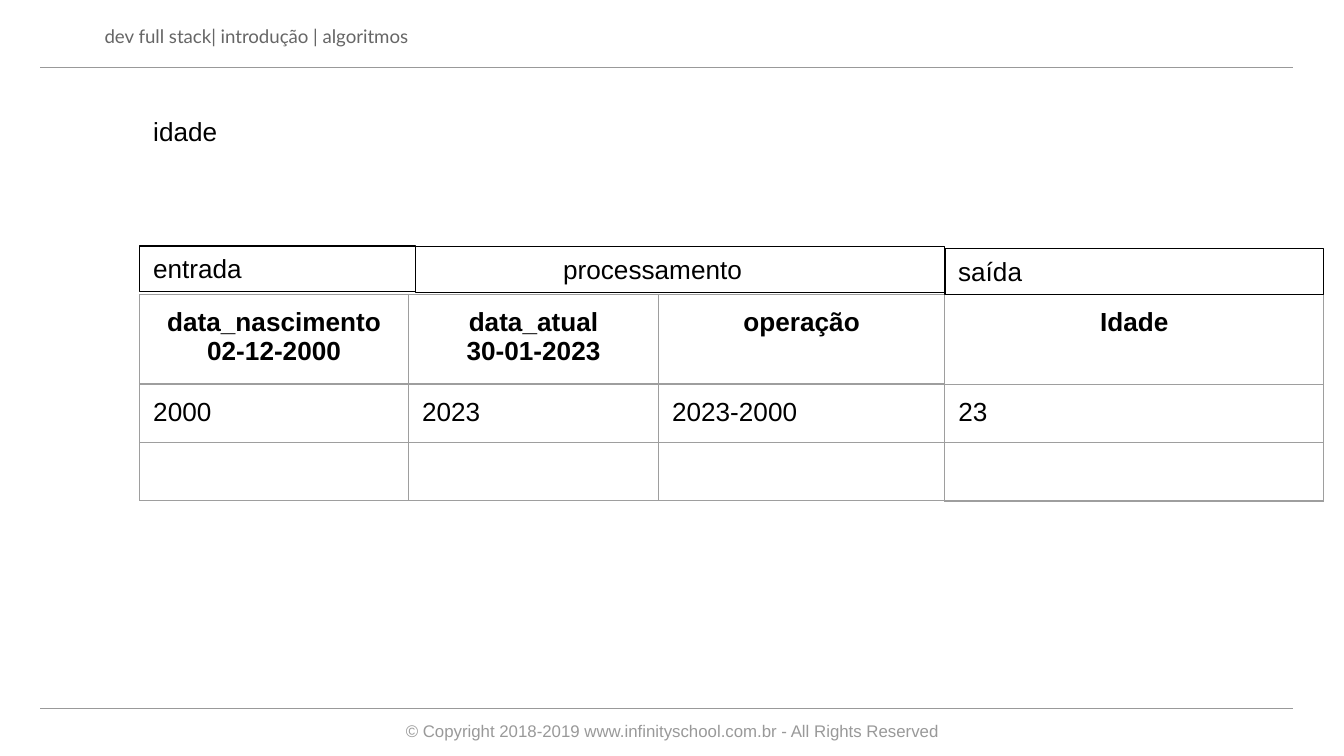
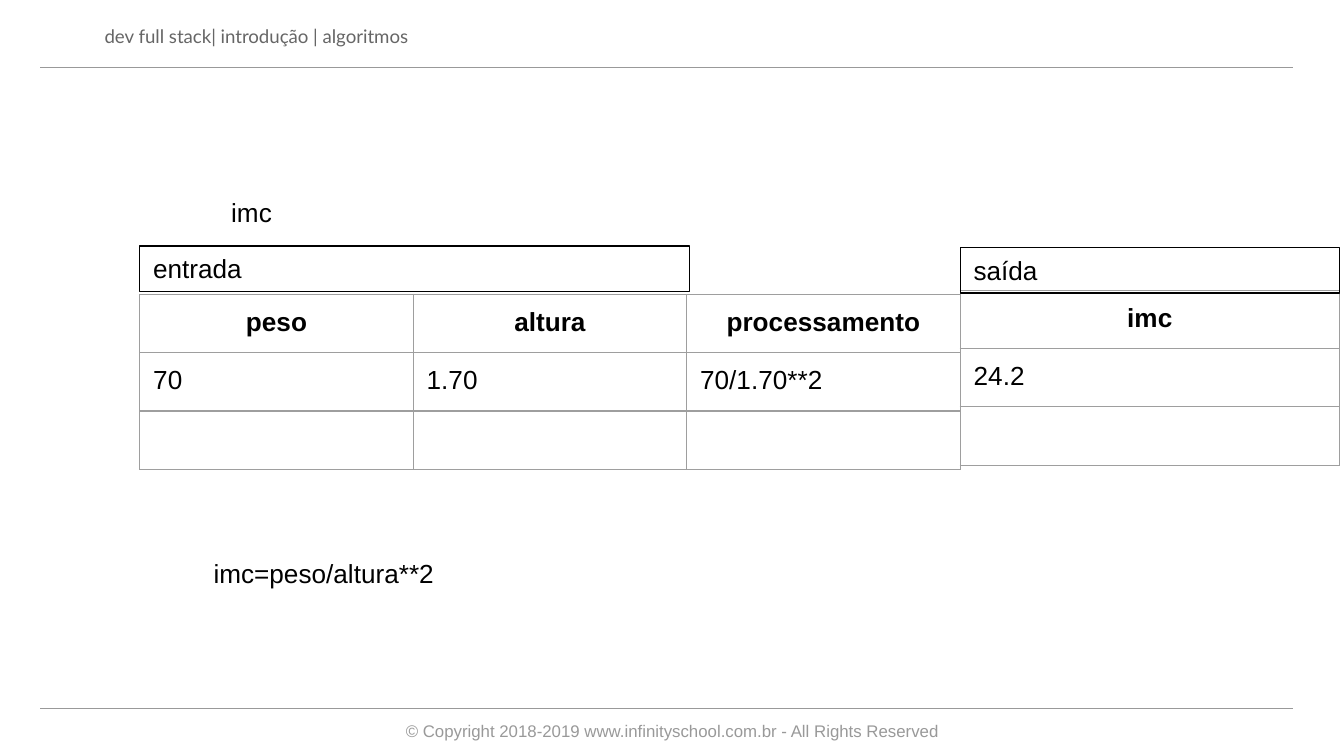
from lxml.etree import SubElement
from pptx import Presentation
from pptx.dml.color import RGBColor
from pptx.enum.shapes import MSO_CONNECTOR, MSO_SHAPE
from pptx.enum.text import MSO_ANCHOR, PP_ALIGN
from pptx.oxml.ns import qn
from pptx.util import Inches, Pt

HEX = {"ink": "000000", "head": "666666", "rule": "999999", "grid": "9E9E9E"}
BODY, HEAD = "Arial", "Lato"
UNIT = 0.1  # one grid column or row, in inches
WIDE, TALL = 100, 56.25
LEFT, OUT = 10.4, 28.2  # left edge of the tables, width of the output table
BAND = 3.4  # height of a one-line box
LINE = 0.75


def grid(*cells):
    return [Inches(cell * UNIT) for cell in cells]


def tint(name):
    return RGBColor.from_string(HEX[name])


class Deck:
    def __init__(self):
        self.show = Presentation()
        self.show.slide_width, self.show.slide_height = grid(WIDE, TALL)
        self.slide = None

    def page(self, title, x, y):
        """Start a slide with the shared frame and its title at x, y."""
        self.slide = self.show.slides.add_slide(self.show.slide_layouts[5])
        for row in (5, 52.7):
            self.rule(3, 96.2, row)
        self.text("dev full stack| introdução | algoritmos", 6.8, 1, 88.9,
                  size=10, font=HEAD, color="head", anchor=MSO_ANCHOR.MIDDLE)
        self.text("© Copyright 2018-2019 www.infinityschool.com.br"
                  " - All Rights Reserved", 3.4, 52.7, 93.2, size=9,
                  color="rule", align=PP_ALIGN.CENTER, anchor=MSO_ANCHOR.MIDDLE)
        head = self.slide.shapes.title
        head.left, head.top, head.width, head.height = grid(x, y, 25.8, BAND)
        self.label(head.text_frame, title)

    def label(self, frame, text, size=14, font=BODY, color="ink", bold=False,
              align=PP_ALIGN.LEFT, anchor=MSO_ANCHOR.TOP):
        frame.text = text
        frame.word_wrap = True
        frame.vertical_anchor = anchor
        for para in frame.paragraphs:
            para.alignment = align
            for run in para.runs:
                run.font.size, run.font.name = Pt(size), font
                run.font.bold = bold
                run.font.color.rgb = tint(color)

    def rule(self, start, end, row):
        line = self.slide.shapes.add_connector(
            MSO_CONNECTOR.STRAIGHT, *grid(start, row, end, row))
        line.line.color.rgb = tint("rule")
        line.line.width = Pt(LINE)
        SubElement(line.element.spPr, qn("a:effectLst"))

    def text(self, text, x, y, w, **style):
        box = self.slide.shapes.add_textbox(*grid(x, y, w, BAND))
        self.label(box.text_frame, text, **style)

    def box(self, text, x, y, w, inset=1):
        box = self.slide.shapes.add_shape(
            MSO_SHAPE.RECTANGLE, *grid(x, y, w, BAND))
        box.shadow.inherit = False
        box.fill.background()
        box.line.color.rgb = tint("ink")
        box.line.width = Pt(LINE)
        self.label(box.text_frame, text)
        box.text_frame.margin_left = grid(inset)[0]

    def table(self, rows, x, y, cols, highs):
        """Draw a ruled table whose first row is a bold, centred heading."""
        table = self.slide.shapes.add_table(
            len(rows), len(cols), *grid(x, y, sum(cols), sum(highs))).table
        table.first_row = table.horz_banding = False
        for col, width in zip(table.columns, grid(*cols)):
            col.width = width
        for row, high in zip(table.rows, grid(*highs)):
            row.height = high
        for r, row in enumerate(rows):
            for c, text in enumerate(row):
                self.cell(table.cell(r, c), text, r == 0)

    def cell(self, cell, text, head):
        align = PP_ALIGN.CENTER if head else PP_ALIGN.LEFT
        self.label(cell.text_frame, text, bold=head, align=align)
        if not text:
            last = cell.text_frame.paragraphs[0]._p
            SubElement(last, qn("a:endParaRPr"), sz="1400")
        cell.margin_left = cell.margin_right = grid(1)[0]
        cell.margin_top = cell.margin_bottom = grid(1)[0]
        props = cell._tc.get_or_add_tcPr()
        for side in "LRTB":
            edge = SubElement(props, qn(f"a:ln{side}"), w=str(Pt(LINE)))
            fill = SubElement(edge, qn("a:solidFill"))
            SubElement(fill, qn("a:srgbClr"), val=HEX["grid"])
        cell.fill.background()


def age(deck):
    deck.page("idade", LEFT, 8.1)
    cols = [20, 18.6, 21.3]
    out = LEFT + sum(cols)
    deck.table([["data_nascimento\n02-12-2000", "data_atual\n30-01-2023",
                 "operação"],
                ["2000", "2023", "2023-2000"],
                [""] * 3], LEFT, 21.9, cols, [6.4, 4.2, 4.2])
    deck.table([["Idade"], ["23"], [""]], out, 21.9, [OUT], [6.7, 4.3, 4.3])
    step = LEFT + 20.5
    deck.box("entrada", LEFT, 18.3, step - LEFT)
    deck.box("saída", out, 18.5, OUT)
    deck.box("processamento", step, 18.35, out - step, inset=11)


def mass(deck):
    deck.page("imc", 16.2, 14.1)
    cols = [20.35] * 3
    out = LEFT + sum(cols)
    deck.table([["peso", "altura", "processamento"],
                ["70", "1.70", "70/1.70**2"],
                [""] * 3], LEFT, 21.9, cols, [4.2] * 3)
    deck.text("imc=peso/altura**2", 14.9, 41, 20.1)
    deck.table([["imc"], ["24.2"], [""]], out, 21.6, [OUT], [4.33] * 3)
    deck.box("entrada", LEFT, 18.3, 40.9)
    deck.box("saída", out, 18.4, OUT)


def main():
    deck = Deck()
    age(deck)
    mass(deck)
    deck.show.save("out.pptx")


if __name__ == "__main__":
    main()
